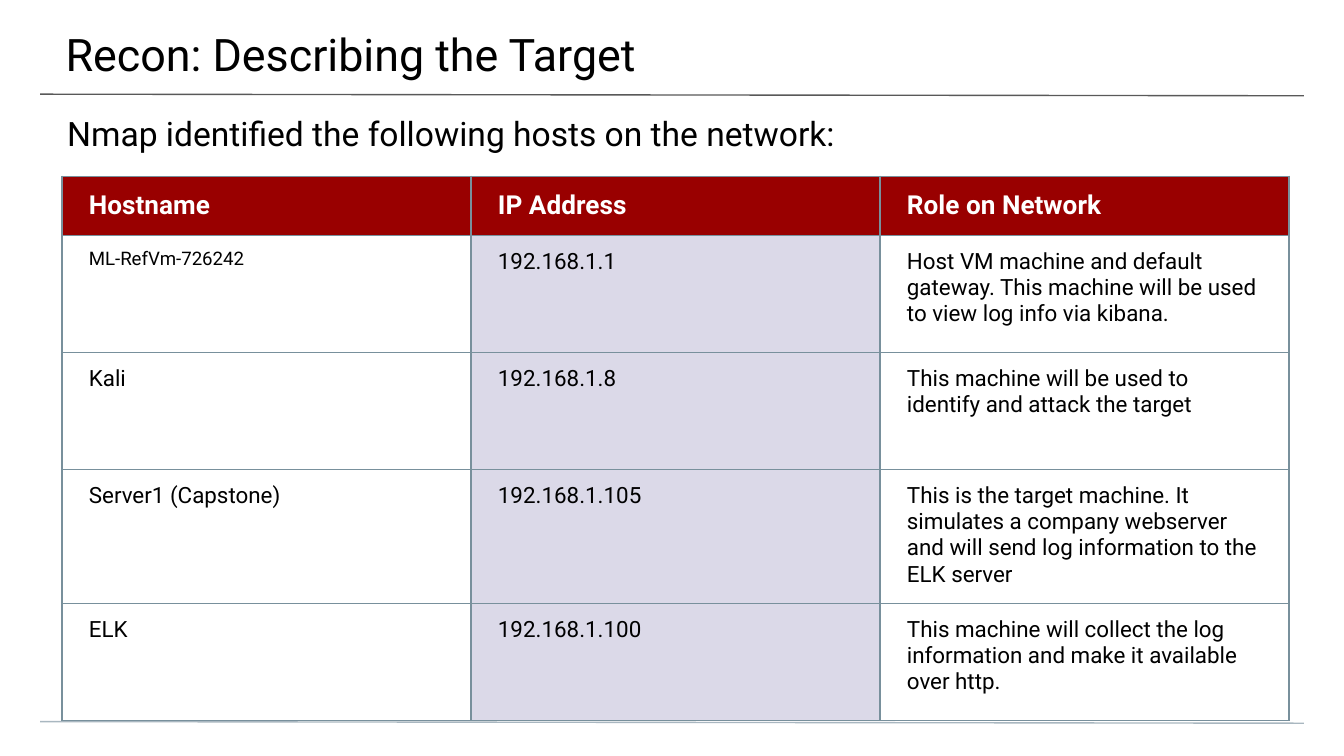
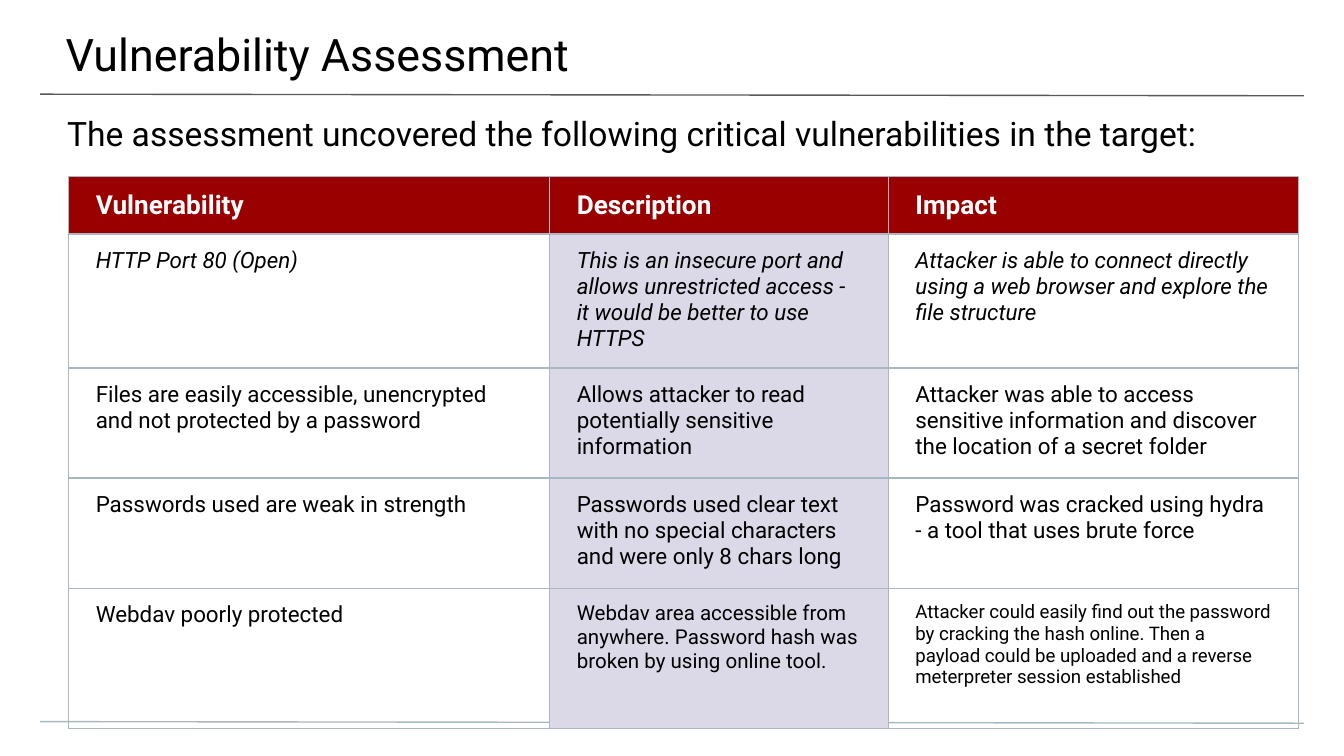
from lxml import etree
from pptx import Presentation
from pptx.dml.color import RGBColor
from pptx.enum.shapes import MSO_CONNECTOR
from pptx.enum.text import MSO_ANCHOR
from pptx.oxml.ns import qn
from pptx.util import Cm, Pt

STRAIGHT = MSO_CONNECTOR.STRAIGHT
TOP, MIDDLE = MSO_ANCHOR.TOP, MSO_ANCHOR.MIDDLE

FONT = "Roboto"
BLACK, WHITE = "000000", "FFFFFF"
HEADER_RED, COLUMN_LILAC = "990000", "DBD9E8"
RULE_DARK, RULE_LIGHT, SLATE = "595959", "A9B7C0", "78909C"
BORDER_WIDTH = Pt(0.75)
BLANK_LAYOUT = 6

HOSTS = [
    ["Hostname", "IP Address", "Role on Network"],
    ["ML-RefVm-726242", "192.168.1.1",
     "Host VM machine and default gateway. This machine will be used to view log info via kibana."],
    ["Kali", "192.168.1.8", "This machine will be used to identify and attack the target"],
    ["Server1 (Capstone)", "192.168.1.105",
     "This is the target machine. It simulates a company webserver and will send log "
     "information to the ELK server"],
    ["ELK", "192.168.1.100",
     "This machine will collect the log information and make it available over http."],
]
VULNERABILITIES = [
    ["Vulnerability", "Description", "Impact"],
    ["HTTP Port 80 (Open)",
     "This is an insecure port and allows unrestricted access - it would be better to use HTTPS",
     "Attacker is able to connect directly using a web browser and explore the file structure"],
    ["Files are easily accessible, unencrypted and not protected by a password",
     "Allows attacker to read potentially sensitive information",
     "Attacker was able to access sensitive information and discover the location of a secret folder"],
    ["Passwords used are weak in strength",
     "Passwords used clear text with no special characters and were only 8 chars long",
     "Password was cracked using hydra - a tool that uses brute force"],
    ["Webdav poorly protected",
     "Webdav area accessible from anywhere. Password hash was broken by using online tool.",
     "Attacker could easily find out the password by cracking the hash online. Then a payload "
     "could be uploaded and a reverse meterpreter session established"],
]


def color(value):
    return RGBColor.from_string(value)


class Deck:
    def __init__(self):
        self.presentation = Presentation()
        self.presentation.slide_width = Cm(25.4)
        self.presentation.slide_height = Cm(14.29)
        self.slide = None

    def add_slide(self, title, subtitle):
        layout = self.presentation.slide_layouts[BLANK_LAYOUT]
        self.slide = self.presentation.slides.add_slide(layout)
        self.slide.background.fill.solid()
        self.slide.background.fill.fore_color.rgb = color(WHITE)
        self.rule(1.78, RULE_DARK)
        self.rule(13.64, RULE_LIGHT)
        self.text(title, (-0.03, 0, 25.48, 1.47), (1.27, 0.51, 0.76, 0.25), 24)
        self.text(subtitle, (0, 1.88, 25.4, 1.02), (1.27, 0.25, 1.27, 0), 18)

    def rule(self, top, line_color):
        # The rules drop very slightly towards the right
        line = self.slide.shapes.add_connector(
            STRAIGHT, Cm(0.76), Cm(top), Cm(24.64), Cm(top + 0.03))
        line.line.color.rgb = color(line_color)
        line.line.width = BORDER_WIDTH
        etree.SubElement(line._element.spPr, qn("a:effectLst"))

    def text(self, text, box, insets, size):
        shape = self.slide.shapes.add_textbox(*map(Cm, box))
        frame = shape.text_frame
        frame.word_wrap = True
        frame.vertical_anchor = TOP
        (frame.margin_left, frame.margin_top,
         frame.margin_right, frame.margin_bottom) = map(Cm, insets)
        frame.text = text
        self.style(frame, size)

    def style(self, frame, size, text_color=BLACK, bold=False, italic=False):
        for run in frame.paragraphs[0].runs:
            run.font.name = FONT
            run.font.size = Pt(size)
            run.font.bold = bold
            run.font.italic = italic
            run.font.color.rgb = color(text_color)

    def table(self, rows, left, widths, heights, border, sizes, italic_rows=()):
        """sizes maps (row, column) to a text size other than 12 pt."""
        frame = self.slide.shapes.add_table(
            len(rows), len(widths), Cm(left), Cm(3.33), Cm(sum(widths)), Cm(sum(heights)))
        table = frame.table
        table.first_row = table.horz_banding = False
        for column, width in zip(table.columns, widths):
            column.width = Cm(width)
        for row, height in zip(table.rows, heights):
            row.height = Cm(height)
        for i, row in enumerate(rows):
            for j, text in enumerate(row):
                cell = table.cell(i, j)
                cell.text_frame.text = text
                cell.margin_left = cell.margin_right = Cm(0.51)
                cell.margin_top = cell.margin_bottom = Cm(0.25)
                self.borders(cell, border)
                if i == 0:
                    cell.vertical_anchor = MIDDLE
                    self.fill(cell, HEADER_RED)
                    self.style(cell.text_frame, 14, WHITE, bold=True)
                else:
                    cell.vertical_anchor = TOP
                    self.fill(cell, COLUMN_LILAC if j == 1 else None)
                    self.style(cell.text_frame, sizes.get((i, j), 12), italic=i in italic_rows)

    def fill(self, cell, fill_color):
        if fill_color is None:
            cell.fill.background()
        else:
            cell.fill.solid()
            cell.fill.fore_color.rgb = color(fill_color)

    def borders(self, cell, border):
        properties = cell._tc.get_or_add_tcPr()
        for side in ("lnL", "lnR", "lnT", "lnB"):
            line = etree.SubElement(properties, qn("a:" + side), w=str(BORDER_WIDTH))
            solid = etree.SubElement(line, qn("a:solidFill"))
            etree.SubElement(solid, qn("a:srgbClr"), val=border)


def main():
    deck = Deck()

    # Hosts found on the network
    deck.add_slide("Recon: Describing the Target",
                   "Nmap identified the following hosts on the network:")
    deck.table(HOSTS, 1.17, [7.73] * 3, [1.12] + [2.21] * 4, SLATE, {(1, 0): 10})

    # Critical vulnerabilities
    deck.add_slide("Vulnerability Assessment",
                   "The assessment uncovered the following critical vulnerabilities in the target:")
    deck.table(VULNERABILITIES, 1.3, [9.09, 6.4, 7.75], [1.07, 2.46, 2.08, 2.08, 2.65],
               RULE_LIGHT, {(4, 1): 11, (4, 2): 10}, italic_rows=(1,))

    deck.presentation.save("out.pptx")


if __name__ == "__main__":
    main()
